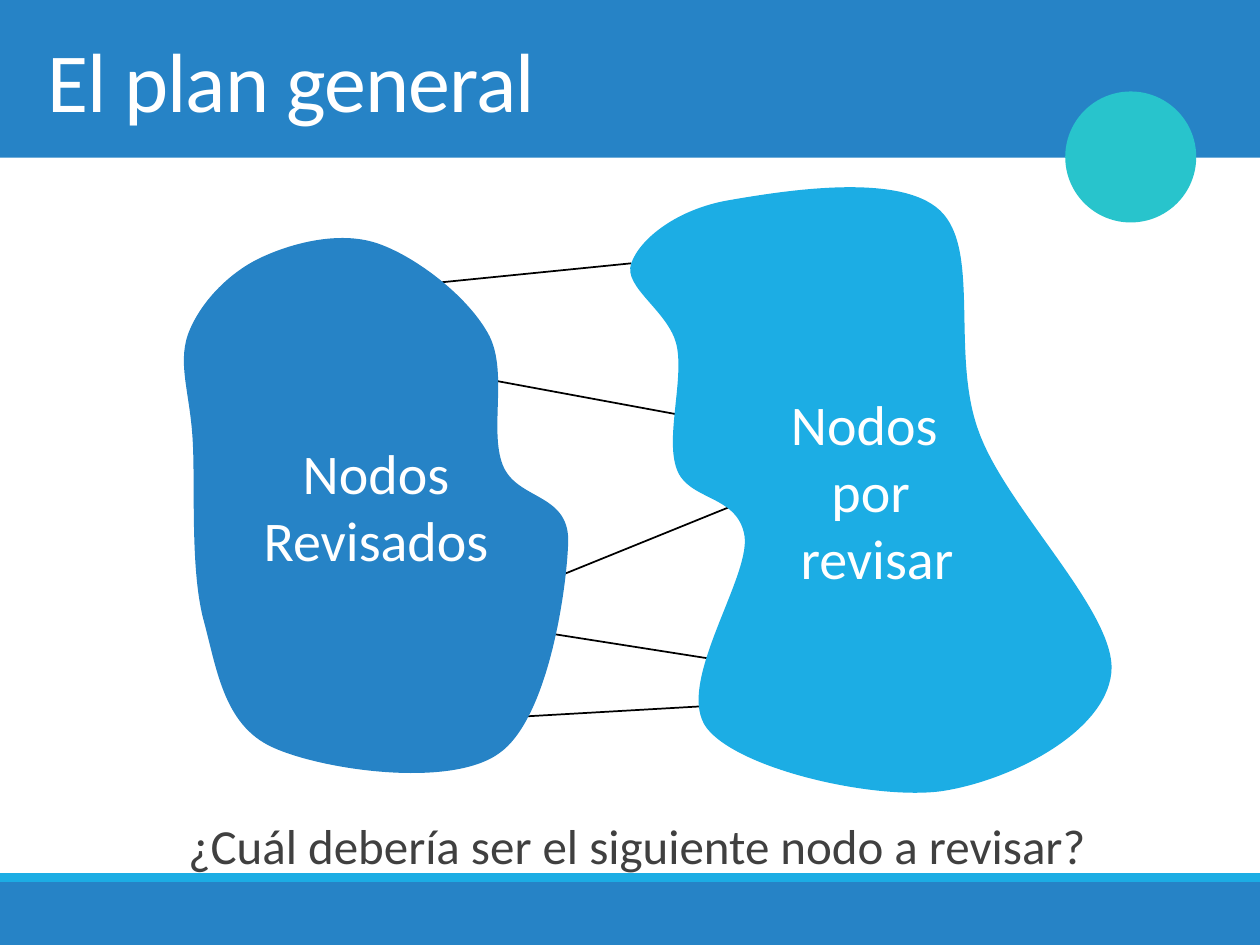
from lxml.etree import SubElement
from pptx import Presentation
from pptx.dml.color import RGBColor
from pptx.enum.shapes import MSO_CONNECTOR, MSO_SHAPE
from pptx.enum.text import MSO_ANCHOR, MSO_AUTO_SIZE, PP_ALIGN
from pptx.oxml.ns import qn
from pptx.util import Cm, Pt

BLUE = RGBColor(0x26, 0x83, 0xC6)
SKY = RGBColor(0x1C, 0xAD, 0xE4)
TEAL = RGBColor(0x28, 0xC4, 0xCC)
WHITE = RGBColor(0xFF, 0xFF, 0xFF)
BLACK = RGBColor(0, 0, 0)
GREY = RGBColor(0x40, 0x40, 0x40)

GRID = Cm(0.0254)  # one grid unit: the slide is 1000 x 750 units

# Each outline is a start point, then rows of two handles and an end point.
DONE_BOX = (146, 189, 305, 424)
DONE = [
    (206, 205),
    (231, 193), (269, 183), (299, 193),
    (329, 203), (370, 234), (387, 264),
    (404, 293), (388, 341), (399, 369),
    (410, 397), (451, 391), (451, 429),
    (450, 468), (435, 571), (396, 598),
    (357, 626), (255, 611), (216, 593),
    (177, 575), (172, 530), (161, 490),
    (151, 449), (155, 387), (153, 350),
    (151, 313), (141, 290), (149, 266),
    (158, 241), (181, 217), (206, 205),
]
TODO_BOX = (500, 149, 382, 480)
TODO = [
    (561, 578),
    (535, 544), (595, 460), (591, 426),
    (586, 392), (546, 398), (537, 372),
    (528, 347), (543, 301), (537, 274),
    (531, 247), (494, 228), (501, 209),
    (508, 189), (538, 166), (578, 159),
    (619, 152), (713, 136), (746, 167),
    (779, 198), (754, 282), (777, 343),
    (799, 404), (887, 487), (882, 534),
    (877, 582), (801, 620), (747, 628),
    (694, 635), (587, 611), (561, 578),
]
LINKS = [
    (351, 224, 501, 209),
    (392, 302, 549, 331),
    (427, 464, 580, 402),
    (387, 495, 635, 534),
    (392, 570, 620, 557),
]


def paint(shape, color):
    shape.shadow.inherit = False
    shape.fill.solid()
    shape.fill.fore_color.rgb = color
    shape.line.fill.background()


def style(para, size, color, align):
    para.alignment = align
    for run in para.runs:
        run.font.name = "Calibri"
        run.font.size = Pt(size)
        run.font.color.rgb = color


def add_plain(slide, kind, box, color):
    shape = slide.shapes.add_shape(kind, *map(Cm, box))
    paint(shape, color)
    return shape


def add_link(slide, ends):
    link = slide.shapes.add_connector(
        MSO_CONNECTOR.STRAIGHT, *(v * GRID for v in ends))
    link.line.color.rgb = BLACK
    link.line.width = Pt(1)
    SubElement(link._element.spPr, qn("a:effectLst"))


def bend(blob, box, knots):
    """Replace the straight outline of the box with cubic curves."""
    trail = next(blob._element.iter(qn("a:path")))
    for part in list(trail):
        trail.remove(part)

    def put(tag, points):
        node = SubElement(trail, qn(tag))
        for x, y in points:
            SubElement(node, qn("a:pt"), x=str(x - box[0]), y=str(y - box[1]))

    put("a:moveTo", knots[:1])
    for i in range(1, len(knots), 3):
        put("a:cubicBezTo", knots[i:i + 3])
    put("a:close", [])


def add_blob(slide, box, knots, color, text):
    x, y, w, h = box
    pen = slide.shapes.build_freeform(x, y, scale=GRID)
    pen.add_line_segments([(x + w, y), (x + w, y + h), (x, y + h)])
    blob = pen.convert_to_shape()
    bend(blob, box, knots)
    paint(blob, color)
    frame = blob.text_frame
    frame.word_wrap = True
    frame.vertical_anchor = MSO_ANCHOR.MIDDLE
    frame.text = text
    for para in frame.paragraphs:
        style(para, 32, WHITE, PP_ALIGN.CENTER)


def set_title(slide, text):
    title = slide.shapes.title
    title.left, title.top, title.width, title.height = map(Cm, (0.71, 0, 24, 3.18))
    frame = title.text_frame
    frame.text = text
    frame.auto_size = MSO_AUTO_SIZE.NONE
    frame.vertical_anchor = MSO_ANCHOR.MIDDLE
    para = frame.paragraphs[0]
    style(para, 48, WHITE, PP_ALIGN.LEFT)
    para.runs[0]._r.get_or_add_rPr().set("spc", "-50")
    slide.shapes._spTree.append(title._element)  # in front of the band


def add_query(slide, text):
    box = slide.shapes.add_textbox(*map(Cm, (0.71, 15.72, 24, 1.98)))
    frame = box.text_frame
    frame.word_wrap = True
    frame.margin_left = Cm(0.5)
    frame.text = text
    para = frame.paragraphs[0]
    para.line_spacing = 1.5
    para.space_before = Pt(12)
    para.space_after = Pt(2)
    style(para, 28, GREY, PP_ALIGN.CENTER)


def main():
    deck = Presentation()
    deck.slide_width, deck.slide_height = Cm(25.4), Cm(19.05)
    slide = deck.slides.add_slide(deck.slide_layouts[5])

    add_plain(slide, MSO_SHAPE.RECTANGLE, (0, 0, 25.4, 3.18), BLUE)
    add_plain(slide, MSO_SHAPE.RECTANGLE, (0, 17.78, 25.4, 1.27), BLUE)
    add_plain(slide, MSO_SHAPE.RECTANGLE, (0, 17.6, 25.4, 0.18), SKY)
    dot = add_plain(slide, MSO_SHAPE.OVAL, (21.51, 1.88, 2.57, 2.57), TEAL)
    dot.line.color.rgb = TEAL
    dot.line.width = Pt(2)

    set_title(slide, "El plan general")
    add_query(slide, "¿Cuál debería ser el siguiente nodo a revisar?")
    for ends in LINKS:
        add_link(slide, ends)
    add_blob(slide, DONE_BOX, DONE, BLUE, "Nodos Revisados")
    add_blob(slide, TODO_BOX, TODO, SKY, "Nodos \npor\n revisar")
    deck.save("out.pptx")


if __name__ == "__main__":
    main()
